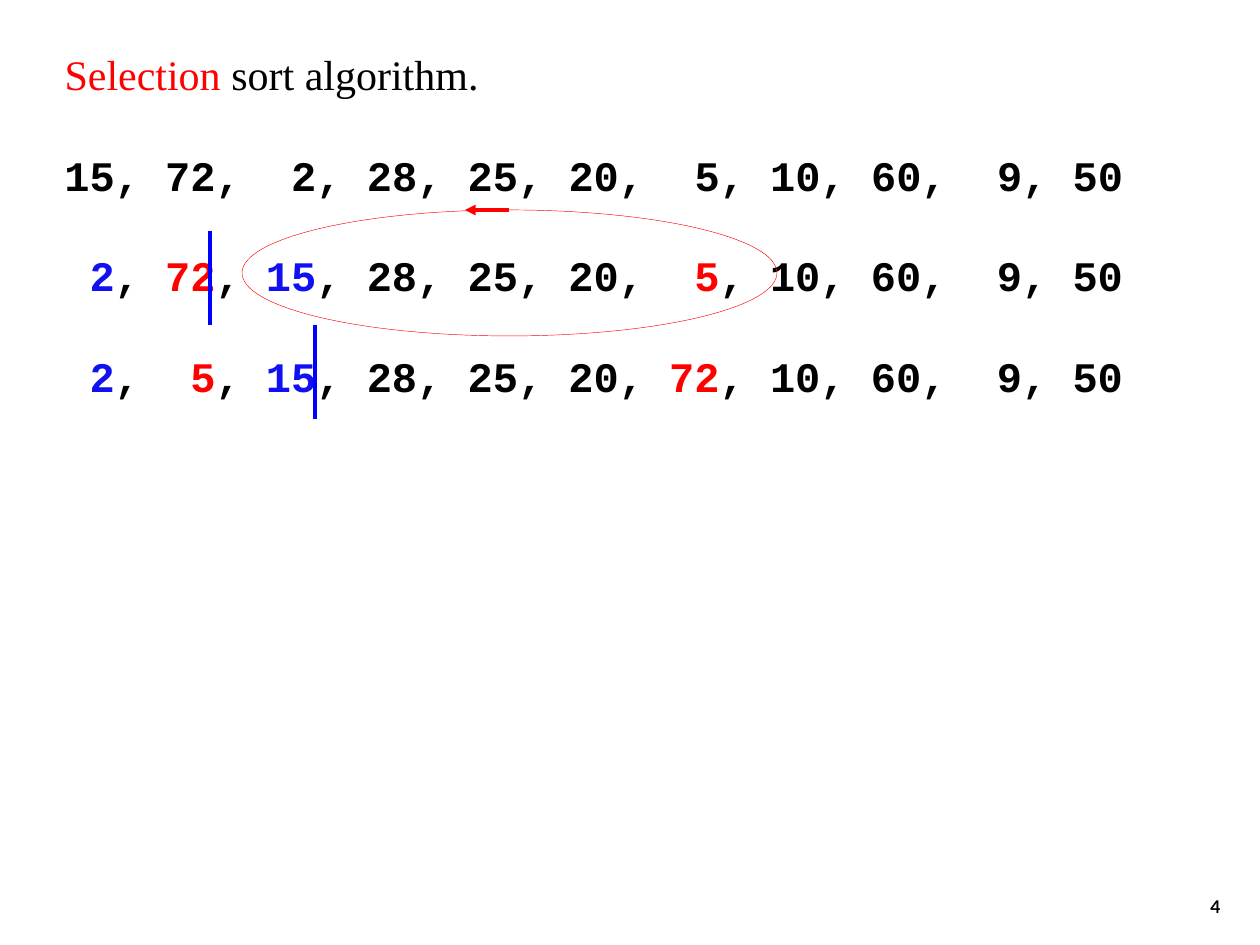
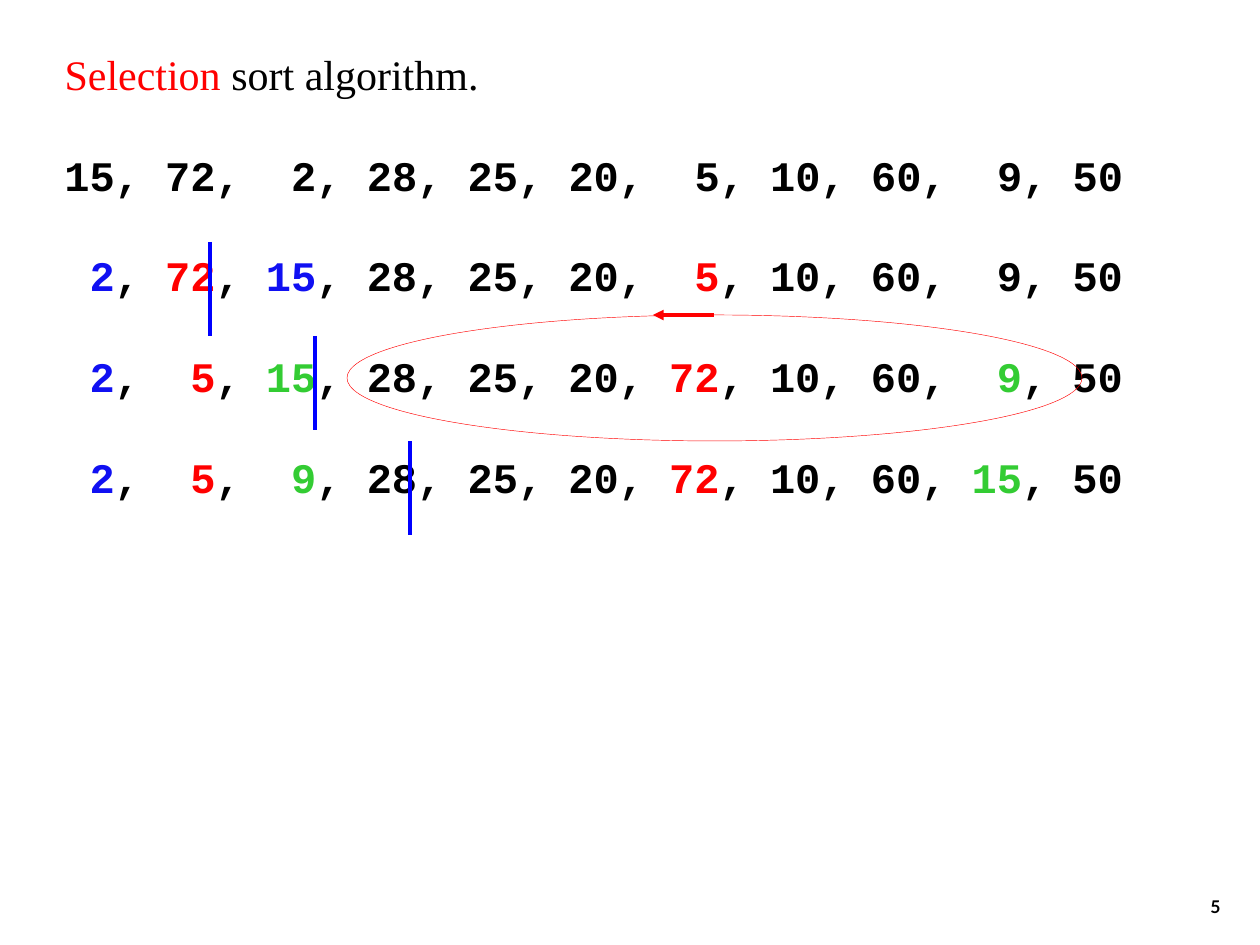
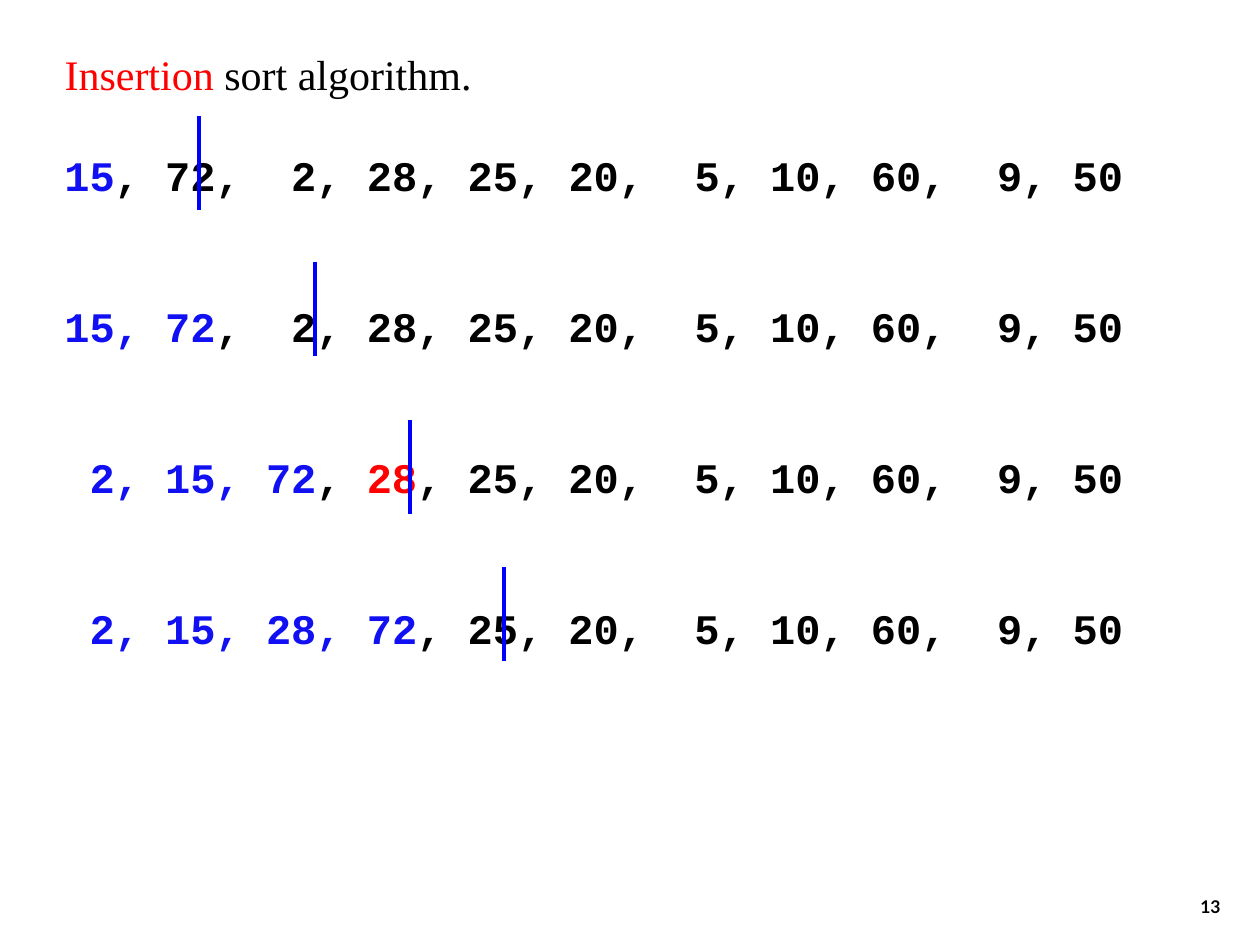
from itertools import groupby

from lxml.etree import SubElement
from pptx import Presentation
from pptx.dml.color import RGBColor
from pptx.enum.shapes import MSO_CONNECTOR, MSO_SHAPE
from pptx.enum.text import MSO_ANCHOR, MSO_AUTO_SIZE, PP_ALIGN
from pptx.oxml.ns import qn
from pptx.util import Emu, Inches, Pt

PX_PER_INCH = 126
COLORS = {
    "ink": "000000",
    "red": "FF0000",
    "blue": "1010F2",
    "green": "33CC33",
    "marker": "0000FF",
}
TITLE_FONT, ROW_FONT, NUMBER_FONT = "Times New Roman", "Courier New", "Lato"
TEXT_SIZE = 24
LINE_HEIGHT = 28.8      # points taken by one line of text
MARKER_LENGTH = 94
LOOP_HEIGHT = 126
START = [15, 72, 2, 28, 25, 20, 5, 10, 60, 9, 50]


def px(length):
    return Emu(round(length * 914400 / PX_PER_INCH))


def rgb(name):
    return RGBColor.from_string(COLORS[name])


def swapped(numbers, first, second):
    result = list(numbers)
    result[first], result[second] = result[second], result[first]
    return result


def coloured_pieces(numbers, marks):
    """Split a row into (text, colour); a comma joins two equal colours."""
    tints = [marks.get(number, "ink") for number in numbers]
    pieces = []
    for place, (number, tint) in enumerate(zip(numbers, tints)):
        if place:
            pieces.append((", ", tint if tint == tints[place - 1] else "ink"))
        pieces.append((f"{number:>2}", tint))
    return [("".join(text for text, _ in group), tint)
            for tint, group in groupby(pieces, key=lambda piece: piece[1])]


class SortDeck:
    def __init__(self):
        self.deck = Presentation()
        self.deck.slide_width, self.deck.slide_height = Inches(10), Inches(7.5)
        self.slide = None

    def new_slide(self, algorithm, number):
        self.slide = self.deck.slides.add_slide(self.deck.slide_layouts[5])
        self.title(algorithm)
        self.slide_number(number)

    def add_runs(self, paragraph, pieces, font, bold=False):
        for text, color in pieces:
            run = paragraph.add_run()
            run.text = text
            self.format_run(run, font, TEXT_SIZE, color, bold)

    def format_run(self, run, font, size, color, bold):
        run.font.name, run.font.size, run.font.bold = font, Pt(size), bold
        run.font.color.rgb = rgb(color)

    def title(self, algorithm):
        heading = self.slide.shapes.title
        heading.left, heading.top = px(52), px(42)
        heading.width, heading.height = px(1100), px(64)
        frame = heading.text_frame
        frame.auto_size = MSO_AUTO_SIZE.NONE
        frame.vertical_anchor = MSO_ANCHOR.TOP
        frame.paragraphs[0].alignment = PP_ALIGN.LEFT
        self.add_runs(frame.paragraphs[0],
                      [(algorithm, "red"), (" sort algorithm.", "ink")], TITLE_FONT)

    def text_frame(self, left, top, width, height):
        frame = self.slide.shapes.add_textbox(
            px(left), px(top), px(width), px(height)).text_frame
        frame.word_wrap = True
        return frame

    def slide_number(self, number):
        frame = self.text_frame(971, 860, 262, 63)
        frame.vertical_anchor = MSO_ANCHOR.BOTTOM
        frame.text = str(number)
        frame.paragraphs[0].alignment = PP_ALIGN.RIGHT
        self.format_run(frame.paragraphs[0].runs[0], NUMBER_FONT, 10, "ink", True)

    def rows(self, rows, lines_apart):
        height = round(len(rows) * lines_apart * LINE_HEIGHT / 72 * PX_PER_INCH)
        frame = self.text_frame(52, 143, 1210, height)
        for place, (numbers, marks) in enumerate(rows):
            paragraph = frame.add_paragraph() if place else frame.paragraphs[0]
            if place:
                paragraph.space_before = Pt((lines_apart - 1) * LINE_HEIGHT)
            self.add_runs(paragraph, coloured_pieces(numbers, marks), ROW_FONT, True)

    def line(self, start, end, color, arrow=False):
        line = self.slide.shapes.add_connector(
            MSO_CONNECTOR.STRAIGHT, *map(px, start + end))
        line.line.color.rgb = rgb(color)
        line.line.width = Pt(2)
        if arrow:
            SubElement(line.line._get_or_add_ln(), qn("a:tailEnd"), type="triangle")
        SubElement(line._element.spPr, qn("a:effectLst"))

    def markers(self, tops):
        for x, y in tops:
            self.line((x, y), (x, y + MARKER_LENGTH), "marker")

    def swap_loop(self, left, top, width, arrow_length):
        loop = self.slide.shapes.add_shape(
            MSO_SHAPE.OVAL, px(left), px(top), px(width), px(LOOP_HEIGHT))
        loop.shadow.inherit = False
        loop.fill.background()
        loop.line.color.rgb = rgb("red")
        loop.line.width = Pt(0.25)
        middle = left + width // 2
        self.line((middle, top), (middle - arrow_length, top), "red", arrow=True)


def main():
    deck = SortDeck()

    # Selection sort: the smallest remaining number is swapped into place
    first_swap = swapped(START, 0, 2)
    second_swap = swapped(first_swap, 1, 6)
    third_swap = swapped(second_swap, 2, 9)
    two_swaps = {2: "blue", 15: "blue", 72: "red", 5: "red"}
    three_swaps = {**two_swaps, 15: "green", 9: "green"}
    opening_rows = [(START, {}), (first_swap, two_swaps)]

    deck.new_slide("Selection", 4)
    deck.rows(opening_rows + [(second_swap, two_swaps)], 2)
    deck.markers([(210, 231), (315, 325)])
    deck.swap_loop(242, 210, 535, 44)

    deck.new_slide("Selection", 5)
    deck.rows(opening_rows + [(second_swap, three_swaps),
                              (third_swap, three_swaps)], 2)
    deck.markers([(210, 242), (315, 336), (410, 441)])
    deck.swap_loop(347, 315, 735, 61)

    # Insertion sort: the sorted part grows by one number per row
    insertion_rows = []
    for count in range(1, 5):
        sorted_part = sorted(START[:count])
        marks = dict.fromkeys(sorted_part, "blue")
        if count == 3:
            marks[START[count]] = "red"
        insertion_rows.append((sorted_part + START[count:], marks))

    deck.new_slide("Insertion", 13)
    deck.rows(insertion_rows, 3)
    deck.markers([(199, 116), (315, 262), (410, 420), (504, 567)])

    deck.deck.save("out.pptx")


if __name__ == "__main__":
    main()
